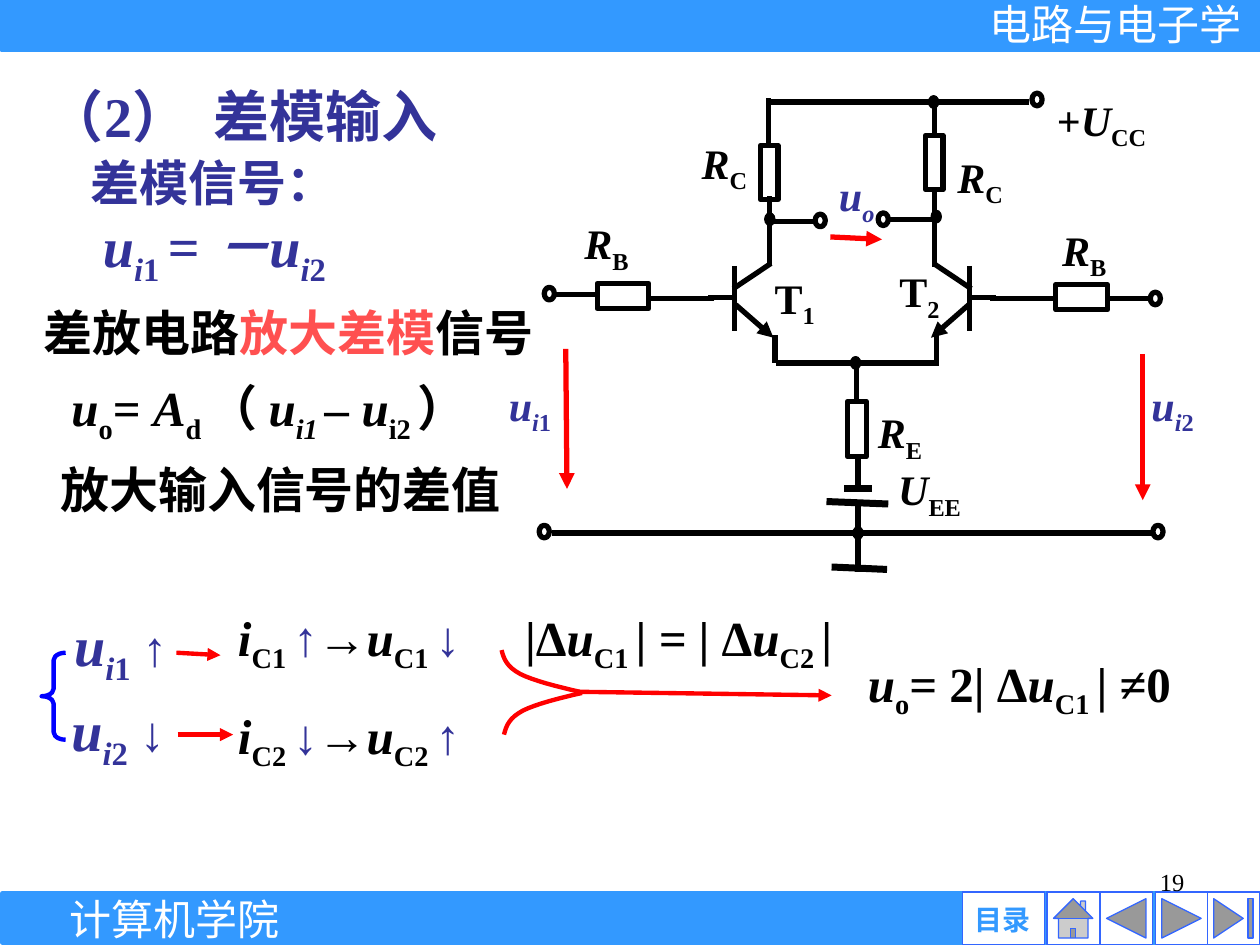
from dataclasses import dataclass
from typing import NamedTuple, Optional

from lxml import etree
from pptx import Presentation
from pptx.dml.color import RGBColor
from pptx.enum import shapes as kinds, text as styles
from pptx.oxml.ns import qn
from pptx.util import Pt

BLACK = RGBColor(0x00, 0x00, 0x00)
WHITE = RGBColor(0xFF, 0xFF, 0xFF)
RED = RGBColor(0xFF, 0x00, 0x00)
CORAL = RGBColor(0xFF, 0x50, 0x50)
NAVY = RGBColor(0x33, 0x33, 0x99)
BLUE = RGBColor(0x00, 0x00, 0xFF)
SKY = RGBColor(0x33, 0x99, 0xFF)
BUTTON_BLUE = RGBColor(0x33, 0x66, 0xFF)
SERIF, SANS, CHINESE = "Times New Roman", "Arial", "Noto Sans CJK SC"
SHAPE, ALIGN, ANCHOR = kinds.MSO_SHAPE, styles.PP_ALIGN, styles.MSO_ANCHOR
MIRROR_X = 487  # axis between the two transistors


class Span(NamedTuple):
    text: str
    italic: bool = False
    low: bool = False
    color: Optional[RGBColor] = None
    size: Optional[float] = None


@dataclass
class Label:
    left: float
    top: float
    width: float
    spans: list[Span]
    size: float = 24
    color: RGBColor = BLACK
    font: str = SERIF
    bold: bool = True
    align: ALIGN = ALIGN.LEFT
    height: Optional[float] = None
    flush: bool = False  # no insets, centred vertically
    wrap: bool = True


class Wire(NamedTuple):
    x1: float
    y1: float
    x2: float
    y2: float
    width: float = 3
    color: RGBColor = BLACK
    arrow: bool = False


def symbol(base: str, index: str, slanted: bool = True) -> list[Span]:
    return [Span(base, slanted), Span(index, low=True)]


def input_voltage(number: str) -> list[Span]:
    return [Span("u", True), Span("i", True, True), Span(number, low=True)]


def fill_frame(frame, label: Label) -> None:
    side, edge = (0, 0) if label.flush else (7.2, 3.6)
    frame.margin_left = frame.margin_right = Pt(side)
    frame.margin_top = frame.margin_bottom = Pt(edge)
    frame.word_wrap = label.wrap
    frame.auto_size = styles.MSO_AUTO_SIZE.NONE
    frame.vertical_anchor = ANCHOR.MIDDLE if label.flush else ANCHOR.TOP
    para = frame.paragraphs[0]
    para.alignment = label.align
    for span in label.spans:
        run = para.add_run()
        run.text = span.text
        run.font.name = label.font
        run.font.size = Pt(span.size or label.size)
        run.font.bold = label.bold
        run.font.italic = span.italic
        run.font.color.rgb = span.color or label.color
        properties = run._r.get_or_add_rPr()
        if span.low:
            properties.set("baseline", "-25000")
        etree.SubElement(properties, qn("a:ea")).set("typeface", CHINESE)


def add_label(page, label: Label) -> None:
    height = label.height or label.size * 1.15 + 7.2
    box = page.shapes.add_textbox(Pt(label.left), Pt(label.top), Pt(label.width), Pt(height))
    fill_frame(box.text_frame, label)


def add_wire(page, wire: Wire) -> None:
    line = page.shapes.add_connector(
        kinds.MSO_CONNECTOR.STRAIGHT, Pt(wire.x1), Pt(wire.y1), Pt(wire.x2), Pt(wire.y2))
    line.line.color.rgb = wire.color
    line.line.width = Pt(wire.width)
    if wire.arrow:
        etree.SubElement(line.line._get_or_add_ln(), qn("a:tailEnd")).set("type", "triangle")
    etree.SubElement(line._element.spPr, qn("a:effectLst"))


def style_shape(shape, line: RGBColor, width: float, fill: Optional[RGBColor]) -> None:
    shape.shadow.inherit = False
    shape.line.color.rgb = line
    shape.line.width = Pt(width)
    if fill is None:
        shape.fill.background()
    else:
        shape.fill.solid()
        shape.fill.fore_color.rgb = fill


def add_shape(page, kind, left: float, top: float, width: float, height: float,
              line: RGBColor = BLACK, weight: float = 3, fill: Optional[RGBColor] = None):
    shape = page.shapes.add_shape(kind, Pt(left), Pt(top), Pt(width), Pt(height))
    style_shape(shape, line, weight, fill)
    return shape


def add_centred(page, kind, x: float, y: float, width: float, height: float, **look) -> None:
    add_shape(page, kind, x - width / 2, y - height / 2, width, height, **look)


def add_transistor(page, mirrored: bool) -> None:
    parts = [Wire(404.6, 170, 420.5, 170), Wire(419.8, 152, 419.8, 189.4),
             Wire(420.5, 174.2, 442, 193, arrow=True), Wire(419, 165, 440.6, 150.5)]
    for part in parts:
        if mirrored:
            part = part._replace(x1=2 * MIRROR_X - part.x1, x2=2 * MIRROR_X - part.x2)
        add_wire(page, part)


def bezier(points: list[tuple], steps: int = 8) -> list[tuple]:
    curve = []
    for step in range(1, steps + 1):
        t = step / steps
        weights = ((1 - t) ** 3, 3 * t * (1 - t) ** 2, 3 * t * t * (1 - t), t ** 3)
        curve.append(tuple(sum(w * p[axis] for w, p in zip(weights, points)) for axis in (0, 1)))
    return curve


def add_merge_curve(page, lower: bool) -> None:
    knots = [(286.6, 371.5), (288, 376.6), (289.4, 380.9), (297.4, 385.2),
             (304.6, 388.8), (318.2, 392.4), (331.2, 395.3)]
    if lower:
        knots = [(x + 1.4, 791.3 - y) for x, y in knots]
    points = [(Pt(x), Pt(y)) for x, y in bezier(knots[:4]) + bezier(knots[3:])]
    builder = page.shapes.build_freeform(Pt(knots[0][0]), Pt(knots[0][1]))
    builder.add_line_segments(points, close=False)
    style_shape(builder.convert_to_shape(), RED, 2.5, None)


BUTTONS = [(SHAPE.ACTION_BUTTON_END, 689.8, 30), (SHAPE.ACTION_BUTTON_FORWARD_OR_NEXT, 660.2, 30),
           (SHAPE.ACTION_BUTTON_BACK_OR_PREVIOUS, 628.6, 30), (SHAPE.ACTION_BUTTON_HOME, 598.3, 30),
           (SHAPE.ACTION_BUTTON_CUSTOM, 550, 46.8)]
WIRES = [
    Wire(440, 58.3, 588, 58.3), Wire(439.2, 56.2, 439.2, 82.8), Wire(439.9, 112.3, 439.9, 151.2),
    Wire(439.2, 126.7, 465.8, 126.7), Wire(535, 125.3, 507.6, 125.3),
    Wire(534.2, 57.6, 534.2, 77), Wire(534.2, 109.4, 534.2, 152.6),
    Wire(408.2, 170.6, 371.5, 170.6), Wire(341.3, 168.5, 316, 168.5),
    Wire(565.9, 170.6, 602.6, 170.6), Wire(632.9, 170.6, 658, 170.6),
    Wire(442.8, 191.5, 442.8, 207.4), Wire(535, 190, 535, 206), Wire(443.5, 207.4, 536.4, 207.4),
    Wire(489.6, 208, 489.6, 229.7), Wire(490.3, 259.9, 490.3, 279.4),
    Wire(498.2, 279.4, 482.4, 279.4, 4), Wire(507.6, 288, 472.3, 286.6, 4),
    Wire(490.3, 289.4, 490.3, 326.9), Wire(475.2, 324, 506.9, 325.4, 4),
    Wire(315.4, 304.6, 658, 304.6),
    Wire(474.5, 135.4, 504, 136.8, 3, RED, True), Wire(323.3, 199.4, 324, 279.4, 3, RED, True),
    Wire(653, 202.3, 653, 285.8, 3, RED, True), Wire(100.8, 373, 126, 374.4, 2.5, RED, True),
    Wire(101.5, 419.8, 133.2, 419.8, 2.5, RED, True), Wire(329.8, 395.3, 475.2, 397.4, 2.5, RED, True),
]
RESISTORS = [(439.6, 98.6, 10, 31), (533.9, 92.9, 10, 31), (489.6, 245.2, 10.8, 31.7),
             (356, 169.2, 29.5, 14.4), (618.1, 169.9, 29.5, 14.4)]
JUNCTIONS = [(439.9, 125.3), (535, 123.8), (488.9, 207.4), (533.5, 58.3), (490.3, 304.6)]
TERMINALS = [(592.6, 56.9), (660.2, 170.6), (313.9, 167.8), (468.7, 126), (504.7, 125.3),
             (311, 303.8), (661.7, 303.8)]
TITLE = Label(20.2, 43.2, 249, [Span("（2）  差模输入")], 32, NAVY, height=45.4)
LABELS = [
    Label(516.2, 491.8, 167.8, [Span("19")], 14, bold=False, align=ALIGN.RIGHT, height=37.4),
    Label(550, 515.5, 45.4, [Span("目录")], 16, SKY, SANS, True, ALIGN.CENTER, 19.4, True),
    Label(549.4, -0.7, 175.7, [Span("电路与电子学")], 24, WHITE, SANS, False, ALIGN.CENTER, 28.8, True),
    Label(39.6, 510.5, 120.2, [Span("计算机学院")], 24, WHITE, SERIF, False, ALIGN.CENTER, 28.8, True, False),
    Label(596.9, 50.4, 80, [Span("+"), *symbol("U", "CC")]),
    Label(393.8, 74.9, 70.6, symbol("R", "C")), Label(540, 82.8, 61.2, symbol("R", "C")),
    Label(326.9, 121, 52.6, symbol("R", "B")), Label(599.8, 124.6, 53.3, symbol("R", "B")),
    Label(435.6, 151.9, 41.8, symbol("T", "1", False)),
    Label(506.9, 148.3, 43.2, symbol("T", "2", False)),
    Label(494.6, 229, 54, symbol("R", "E")), Label(506.2, 261.4, 53.3, symbol("U", "EE")),
    Label(472.3, 93.6, 49.7, [Span("u", True), Span("o", True, True)], color=NAVY),
    Label(283.7, 213.1, 71.3, input_voltage("1"), color=NAVY),
    Label(650.9, 213.1, 60.5, input_voltage("2"), color=NAVY),
    Label(44.6, 83.5, 214.6, [Span("差模信号：")], 28, NAVY),
    Label(51.8, 117.4, 177, [*input_voltage("1 "), Span("= －", True), *input_voltage("2")], 32, NAVY),
    Label(18, 169.2, 297.4, [Span("差放电路"), Span("放大差模", color=CORAL), Span("信号")],
          28, font=CHINESE),
    Label(33.8, 212.4, 275.8, [*symbol("u", "o"), Span("= "), *symbol("A", "d "), Span("（ "),
          Span("u", True), Span("i1 ", True, True), Span("– ", True), *symbol("u", "i2 "),
          Span("）")], 28),
    Label(27.4, 259.2, 367.2, [Span("放大输入信号的差值")], 28, font=CHINESE),
    Label(293, 343.4, 243.4, [Span("|Δ"), *symbol("u", "C1 "), Span("| "), Span("= ", True),
          Span("| Δ"), *symbol("u", "C2 "), Span("|")], 28),
    Label(488.9, 370, 231, [*symbol("u", "o"), Span("= 2| Δ"), *symbol("u", "C1 "),
          Span("| ≠0")], 28),
]
# number, input arrow, opposite arrow, left and top of the input, top of the collector chain
CHANGES = [("1", "↑", "↓", 35.3, 345.6, 343.4), ("2", "↓", "↑", 33.8, 393.8, 399.6)]
for number, change, opposite, left, top, chain_top in CHANGES:
    LABELS.append(Label(left, top, 119.5, [*input_voltage(number), Span(" ", size=28),
                                           Span(change, size=28)], 32, NAVY))
    LABELS.append(Label(128.9, chain_top, 201, [
        *symbol("i", f"C{number} "), Span(change, color=NAVY), Span("→"),
        *symbol("u", f"C{number} "), Span(opposite, color=NAVY)], 28))


def main() -> None:
    deck = Presentation()
    deck.slide_width, deck.slide_height = Pt(720), Pt(540)
    page = deck.slides.add_slide(deck.slide_layouts[5])
    title = page.shapes.title
    title.left, title.top = Pt(TITLE.left), Pt(TITLE.top)
    title.width, title.height = Pt(TITLE.width), Pt(TITLE.height)
    fill_frame(title.text_frame, TITLE)

    for left, top in ((1.4, 510.5), (0.7, 0)):
        add_shape(page, SHAPE.RECTANGLE, left, top, 719.3, 28, SKY, 3, SKY)
    for kind, left, width in BUTTONS:
        add_shape(page, kind, left, 509.8, width, 30, BUTTON_BLUE, 0.75, WHITE)
    for wire in WIRES:
        add_wire(page, wire)
    for mirrored in (False, True):
        add_transistor(page, mirrored)
        add_merge_curve(page, lower=mirrored)
    for x, y, width, height in RESISTORS:
        add_centred(page, SHAPE.RECTANGLE, x, y, width, height)
    for x, y in JUNCTIONS:
        add_centred(page, SHAPE.OVAL, x, y, 5.8, 7.2, weight=0.75, fill=BLACK)
    for x, y in TERMINALS:
        add_centred(page, SHAPE.OVAL, x, y, 5.8, 7.2)
    brace = add_shape(page, SHAPE.LEFT_BRACE, 23.8, 373, 13.7, 49.7, BLUE, 2.5)
    brace.adjustments[0] = 0.31
    for label in LABELS:
        add_label(page, label)
    deck.save("out.pptx")


if __name__ == "__main__":
    main()
